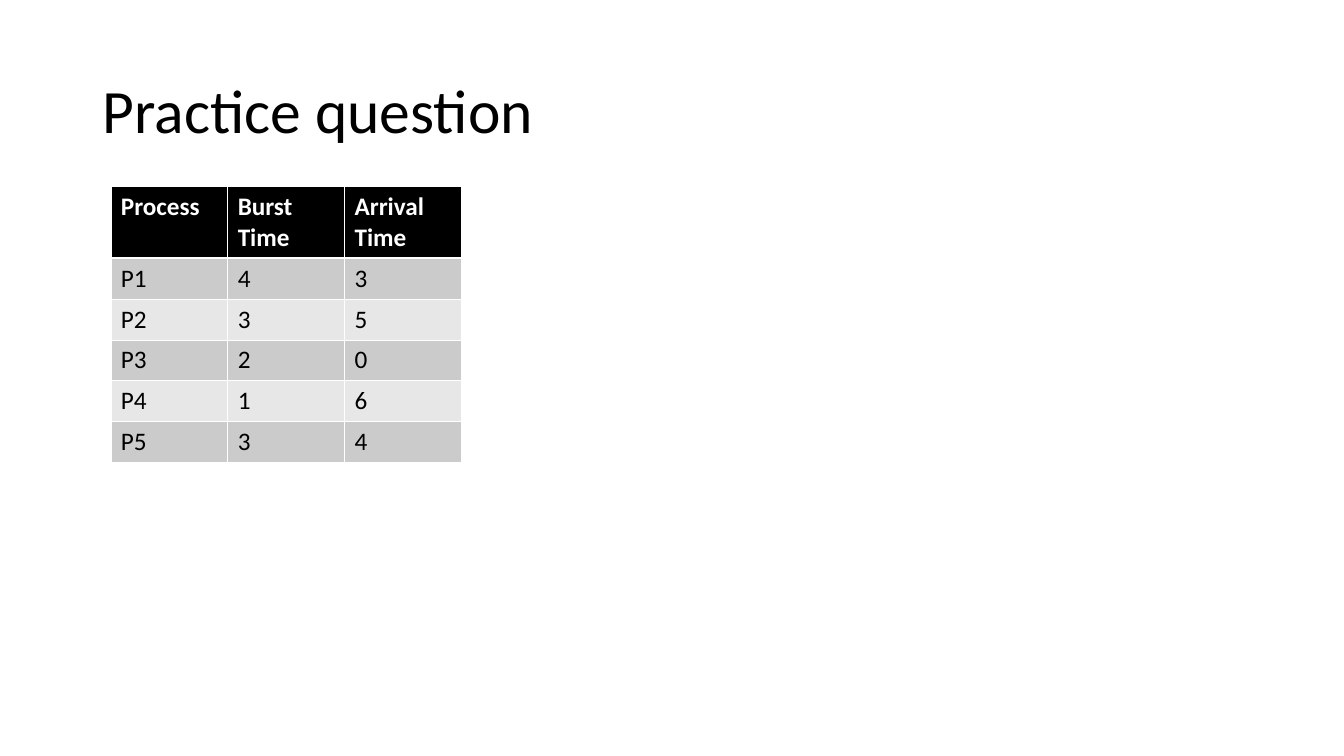
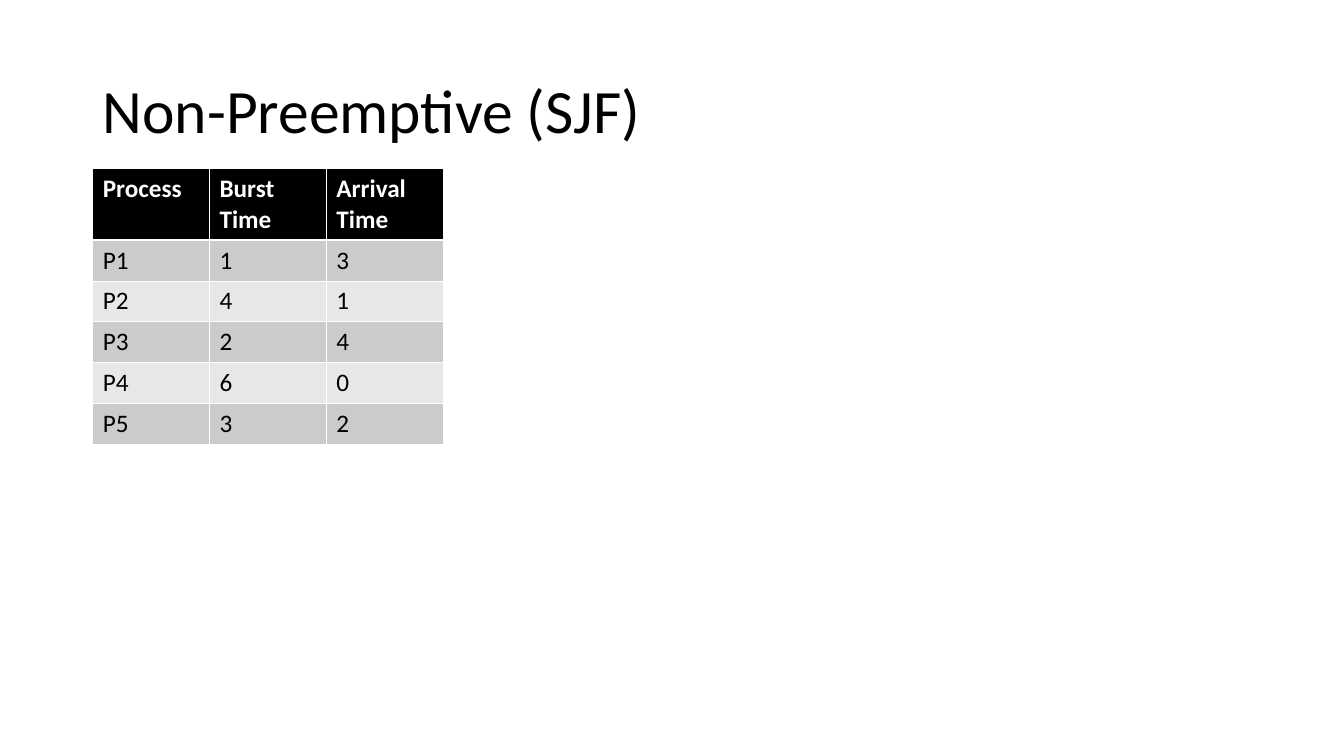
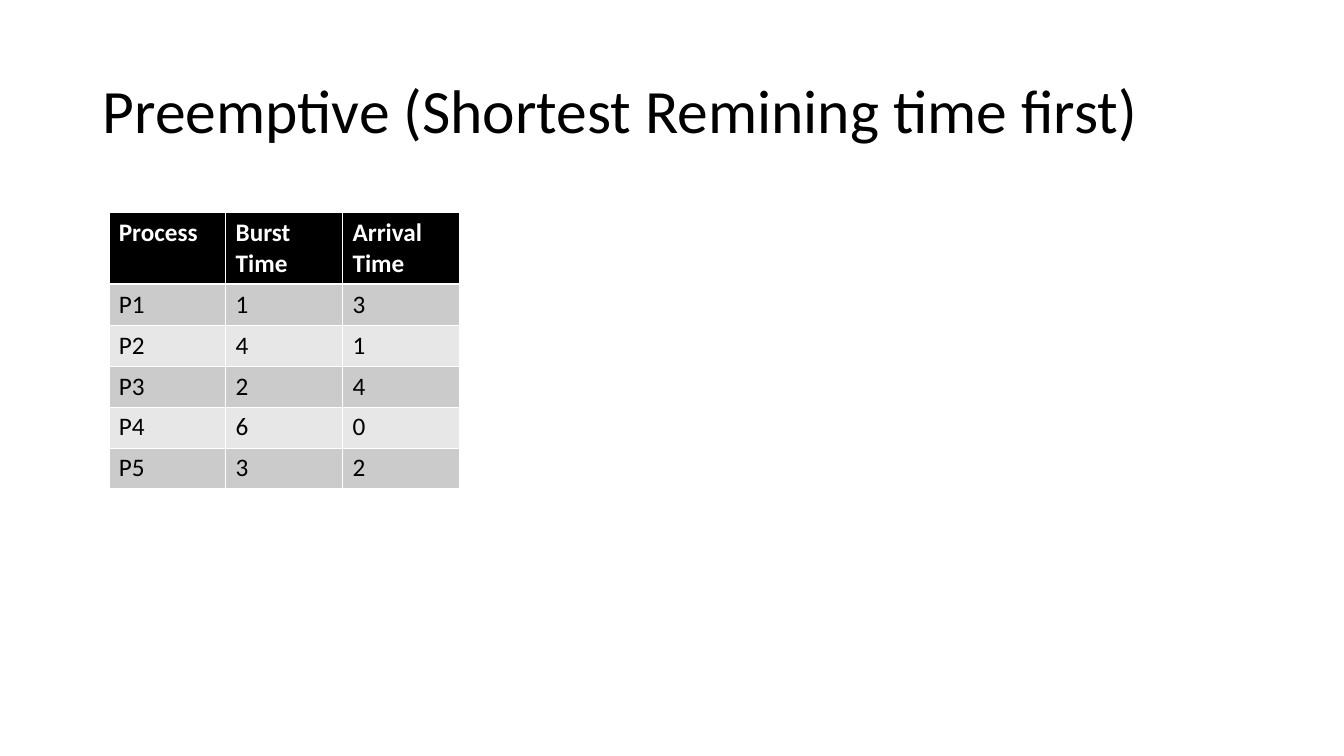
import pptx
import pptx.dml.color
import pptx.enum.text
import pptx.oxml.ns
import pptx.util
import lxml.etree

Inches, Pt = pptx.util.Inches, pptx.util.Pt

HEADERS = ("Process", "Burst Time", "Arrival Time")
SHORTEST_JOBS = [(1, 3), (4, 1), (2, 4), (6, 0), (3, 2)]
SLIDES = [
    ("Practice question", (1.1, 1.85), [(4, 3), (3, 5), (2, 0), (1, 6), (3, 4)]),
    ("Non-Preemptive (SJF)", (0.92, 1.67), SHORTEST_JOBS),
    ("Preemptive (Shortest Remining time first)", (1.08, 2.11), SHORTEST_JOBS),
]

FONT = "Calibri"
BLACK, WHITE = "000000", "FFFFFF"
BANDS = ("CBCBCB", "E7E7E7")
COL_W, HEADER_H, ROW_H = 1.16, 0.7, 0.4
THIN, THICK = 0.45, 1.47


def rgb(color):
    return pptx.dml.color.RGBColor.from_string(color)


def add_run(p, text, size, color, bold=False):
    r = p.add_run()
    r.text = text
    r.font.name = FONT
    r.font.size = Pt(size)
    r.font.bold = bold
    r.font.color.rgb = rgb(color)


def add_title(s, text):
    sp = s.shapes.title
    sp.left, sp.top, sp.width, sp.height = map(Inches, (0.92, 0.4, 11.5, 1.45))
    tf = sp.text_frame
    tf.word_wrap = True
    tf.vertical_anchor = pptx.enum.text.MSO_ANCHOR.MIDDLE
    p = tf.paragraphs[0]
    p.alignment = pptx.enum.text.PP_ALIGN.LEFT
    p.line_spacing = 0.9
    add_run(p, text, 44, BLACK)


def set_borders(cell, top, bottom):
    qn = pptx.oxml.ns.qn
    tcPr = cell._tc.get_or_add_tcPr()
    for side, width in (("L", THIN), ("R", THIN), ("T", top), ("B", bottom)):
        ln = lxml.etree.SubElement(tcPr, qn(f"a:ln{side}"), w=str(int(Pt(width))))
        fill = lxml.etree.SubElement(ln, qn("a:solidFill"))
        lxml.etree.SubElement(fill, qn("a:srgbClr"), val=WHITE)


def add_process_table(s, left, top, times):
    rows = [HEADERS] + [(f"P{n}", *map(str, pair)) for n, pair in enumerate(times, 1)]
    heights = [HEADER_H] + [ROW_H] * len(times)
    table = s.shapes.add_table(
        len(rows), len(HEADERS), Inches(left), Inches(top),
        Inches(COL_W * len(HEADERS)), Inches(sum(heights))).table
    for col in table.columns:
        col.width = Inches(COL_W)
    for i, (row, height) in enumerate(zip(rows, heights)):
        table.rows[i].height = Inches(height)
        header = i == 0
        for j, text in enumerate(row):
            cell = table.cell(i, j)
            set_borders(cell, THICK if i == 1 else THIN, THICK if header else THIN)
            cell.fill.solid()
            cell.fill.fore_color.rgb = rgb(BLACK if header else BANDS[(i - 1) % 2])
            add_run(cell.text_frame.paragraphs[0], text, 18,
                    WHITE if header else BLACK, header)


def main():
    prs = pptx.Presentation()
    prs.slide_width, prs.slide_height = Inches(13.34), Inches(7.5)
    for title, (left, top), times in SLIDES:
        s = prs.slides.add_slide(prs.slide_layouts.get_by_name("Title Only"))
        add_title(s, title)
        add_process_table(s, left, top, times)
    prs.save("out.pptx")


if __name__ == "__main__":
    main()
